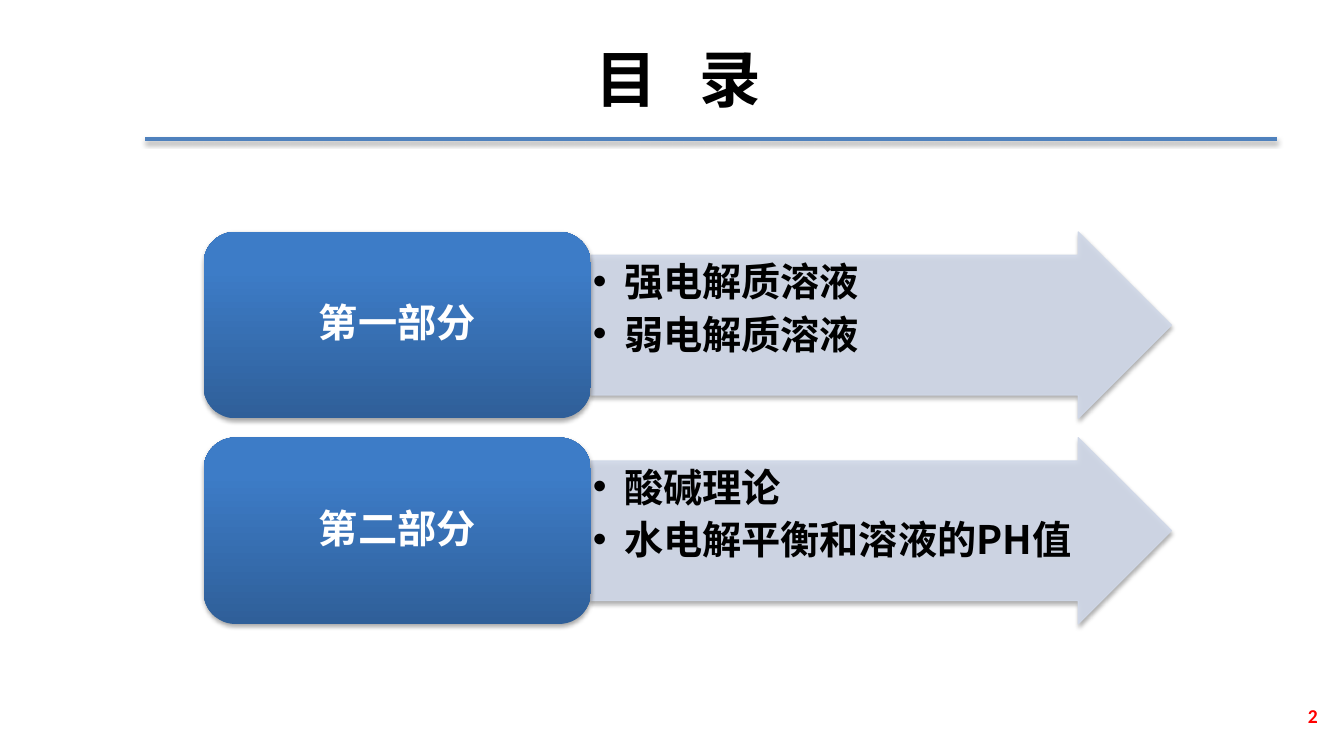
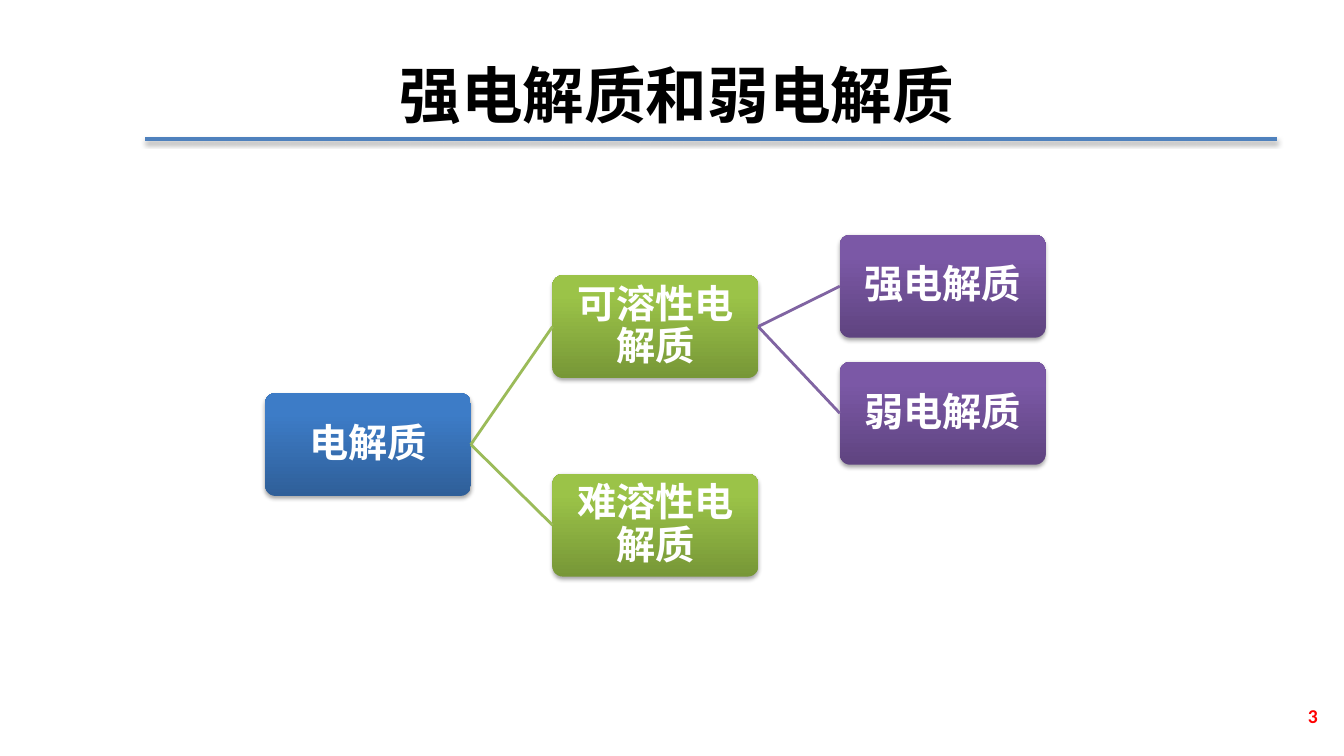
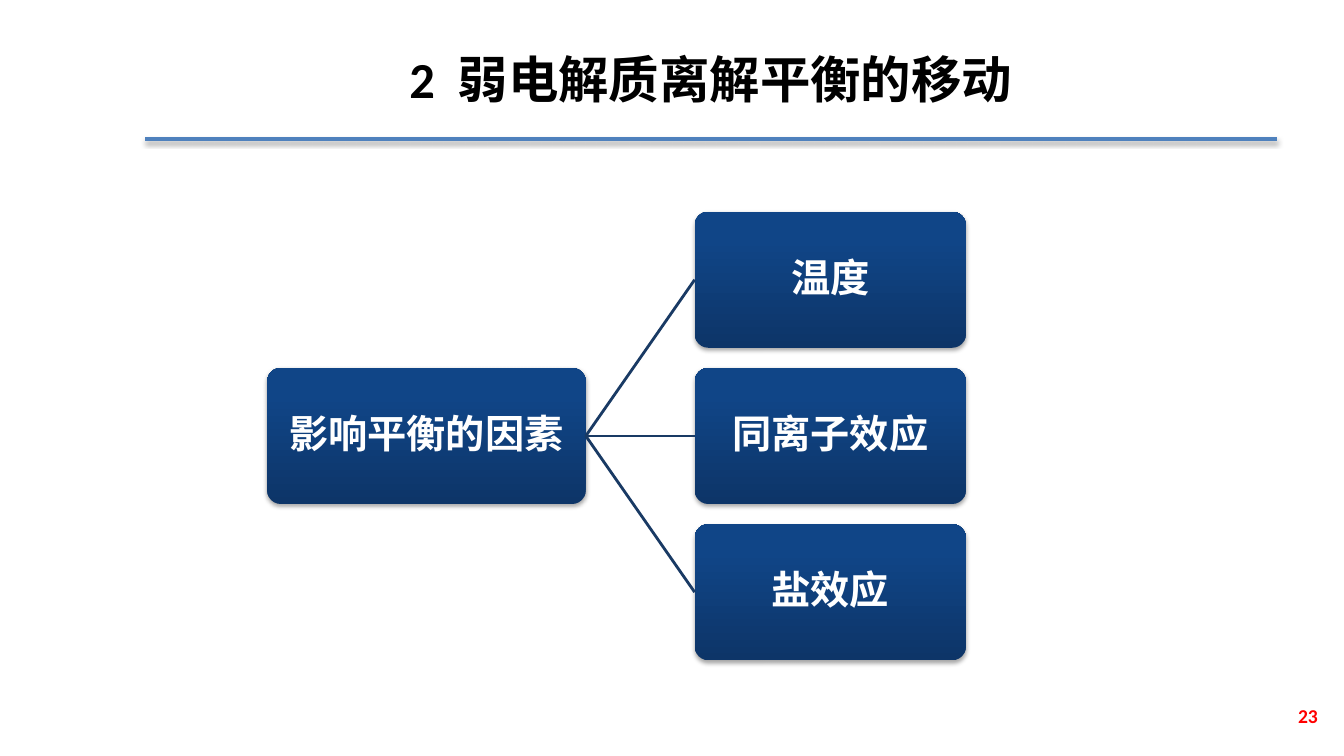
from dataclasses import dataclass

from lxml import etree
from pptx import Presentation
from pptx import util as u
from pptx.dml.color import RGBColor
from pptx.enum import shapes, text
from pptx.oxml.ns import qn

KIND = shapes.MSO_SHAPE
ALIGN = text.PP_ALIGN
ANCHOR = text.MSO_ANCHOR


@dataclass(frozen=True)
class Theme:
    latin: str = "Calibri"
    cjk: str = "Noto Sans CJK SC"
    ink: str = "000000"
    white: str = "FFFFFF"
    rule: str = "4F81BD"
    page: str = "FF0000"
    arrow: str = "D0D8E8"
    # dark foot, light top, line to the node
    blue: tuple = ("2F5F99", "3D7CC7", "4F81BD")
    green: tuple = ("779737", "9BC348", "9BBB59")
    plum: tuple = ("5F4480", "7B58A6", "8064A2")
    navy: tuple = ("0D3568", "104587", "193A64")
    head: int = 44
    sub: int = 36
    body: int = 28
    small: int = 14


T = Theme()


def px(n):
    return u.Emu(round(n * 9144))


def rgb(code):
    return RGBColor.from_string(code)


def add(node, tag, **attrs):
    return etree.SubElement(node, qn(tag), {k: str(v) for k, v in attrs.items()})


def effect(shape, shade=True):
    """Give a shape the soft shadow below it, or none."""
    fx = add(shape.element.spPr, "a:effectLst")
    if shade:
        out = add(fx, "a:outerShdw", blurRad=40000, dist=23000,
                  dir=5400000, rotWithShape=0)
        add(add(out, "a:srgbClr", val="000000"), "a:alpha", val=35000)


def style(para, size, color, font=T.cjk, align=ALIGN.CENTER):
    para.alignment = align
    for run in para.runs:
        f = run.font
        f.size, f.bold, f.name = u.Pt(size), True, font
        f.color.rgb = rgb(color)
        add(run.font._element, "a:ea", typeface=T.cjk)


def inset(frame, n):
    frame.margin_left = frame.margin_right = px(n)
    frame.margin_top = frame.margin_bottom = px(n)


def link(sld, color, width, ends=(0, 0, 0, 0), shade=False):
    line = sld.shapes.add_connector(shapes.MSO_CONNECTOR.STRAIGHT,
                                    *[px(n) for n in ends])
    line.line.color.rgb = rgb(color)
    line.line.width = u.Pt(width)
    effect(line, shade)
    return line


def card(sld, box, label, tone, font=T.cjk, round_=0.1):
    shape = sld.shapes.add_shape(KIND.ROUNDED_RECTANGLE, *[px(n) for n in box])
    shape.adjustments[0] = round_
    shape.fill.gradient()
    shape.fill.gradient_angle = 90
    for stop, code, pos in zip(shape.fill.gradient_stops, tone, (0, 0.8)):
        stop.color.rgb, stop.position = rgb(code), pos
    shape.line.fill.background()
    effect(shape)
    frame = shape.text_frame
    frame.word_wrap, frame.vertical_anchor = True, ANCHOR.MIDDLE
    inset(frame, 2)
    frame.text = label
    frame.paragraphs[0].line_spacing = 0.9
    style(frame.paragraphs[0], T.body, T.white, font)
    return shape


def arrow(sld, box, items):
    shape = sld.shapes.add_shape(KIND.RIGHT_ARROW, *[px(n) for n in box])
    shape.adjustments[0], shape.adjustments[1] = 0.75, 0.5
    shape.fill.solid()
    shape.fill.fore_color.rgb = rgb(T.arrow)
    shape.line.color.rgb = rgb(T.arrow)
    shape.line.width = u.Pt(0.75)
    for color in shape.element.spPr.iter(qn("a:srgbClr")):
        add(color, "a:alpha", val=90000)
    effect(shape)
    frame = shape.text_frame
    frame.word_wrap, frame.vertical_anchor = True, ANCHOR.TOP
    inset(frame, 2)
    frame.text = "\n".join(items)
    for para in frame.paragraphs:
        para.space_after = u.Pt(4)
        style(para, T.body, T.ink, align=ALIGN.LEFT)
        props = para._p.get_or_add_pPr()
        props.set("marL", str(px(31)))
        props.set("indent", str(-px(31)))
        add(props, "a:buFont", typeface="Arial")
        add(props, "a:buChar", char="•")


def parts(sld, box, rows, gap=19):
    """Stack rows, each a card with an arrow holding its topics."""
    left, top, wide, high = box
    tall = (high - gap * (len(rows) - 1)) / len(rows)
    name_w = wide * 0.4
    for i, (label, items) in enumerate(rows):
        y = top + i * (tall + gap)
        arrow(sld, (left + name_w, y, wide - name_w, tall), items)
        card(sld, (left, y, name_w, tall), label, T.blue, round_=0.17)


def tree(sld, spot, cols, tall, gap, node, font=T.cjk, boss=None):
    """Draw a node (label, top, children) and its branches to the right.

    cols holds the width and tone of each level; tops count from the spot.
    """
    (left, top), (label, down, kids) = spot, node
    wide, tone = cols[0]
    shape = card(sld, (left, top + down, wide, tall), label, tone, font)
    if boss is not None:
        line = link(sld, tone[2], 2)
        line.begin_connect(boss, 3)
        line.end_connect(shape, 1)
    for kid in kids:
        tree(sld, (left + wide + gap, top), cols[1:], tall, gap, kid, font, shape)


def start(deck, box, words, page, size=T.head, font=T.latin, space=0):
    """Add a slide with its title and page number; space widens the word gap."""
    sld = deck.slides.add_slide(deck.slide_layouts[5])
    title = sld.shapes.title
    title.left, title.top, title.width, title.height = [px(n) for n in box]
    frame = title.text_frame
    frame.word_wrap, frame.vertical_anchor = True, ANCHOR.MIDDLE
    frame.auto_size = text.MSO_AUTO_SIZE.NONE
    para = frame.paragraphs[0]
    for bit in words:
        para.add_run().text = bit
    style(para, size, T.ink, font)
    for run in para.runs:
        if run.text == " ":
            run.font._element.set("spc", str(space * 100))

    foot = sld.shapes.add_textbox(*[px(n) for n in (1006, 690, 311, 40)])
    frame = foot.text_frame
    frame.word_wrap, frame.vertical_anchor = True, ANCHOR.MIDDLE
    frame.text = str(page)
    style(frame.paragraphs[0], T.small, T.page, T.latin, ALIGN.RIGHT)
    return sld


def contents(deck):
    sld = start(deck, (273, 28, 800, 98), ("目", " ", "录"), 2, space=20)
    parts(sld, (202, 230, 960, 389), [
        ("第一部分", ["强电解质溶液", "弱电解质溶液"]),
        ("第二部分", ["酸碱理论", "水电解平衡和溶液的PH值"]),
    ])
    return sld


def kinds(deck):
    sld = start(deck, (226, 44, 891, 98), ["强电解质和弱电解质"], 3, font=T.cjk)
    cols = [(204, tone) for tone in (T.blue, T.green, T.plum)]
    tree(sld, (263, 233), cols, 102, 81,
         ("电解质", 157, [
             ("可溶性电解质", 40, [("强电解质", 0, []), ("弱电解质", 126, [])]),
             ("难溶性电解质", 237, []),
         ]))


def shifts(deck):
    sld = start(deck, (144, 15, 1122, 125), ("2", " ", "弱电解质离解平衡的移动"),
                23, T.sub, space=8)
    names = ("温度", "同离子效应", "盐效应")
    kids = [(name, 155 * i, []) for i, name in enumerate(names)]
    tree(sld, (265, 210), [(316, T.navy), (269, T.navy)], 135, 108,
         ("影响平衡的因素", 155, kids), T.latin)


def main():
    deck = Presentation()
    deck.slide_width, deck.slide_height = px(1333), px(750)
    first = contents(deck)
    rule = link(first, T.rule, 3, (144, 138, 1267, 138), True)
    first.slide_layout.shapes.element.append(rule.element)
    kinds(deck)
    shifts(deck)
    deck.save("out.pptx")


if __name__ == "__main__":
    main()
